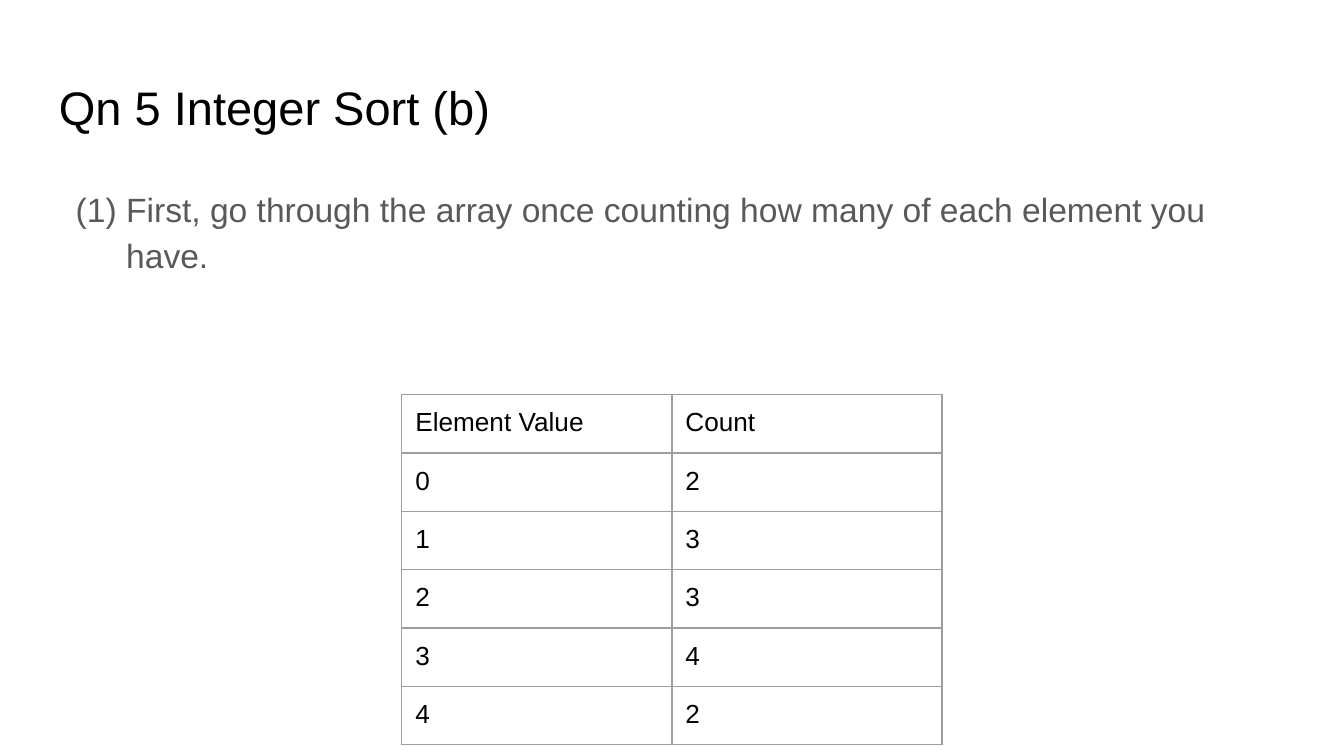
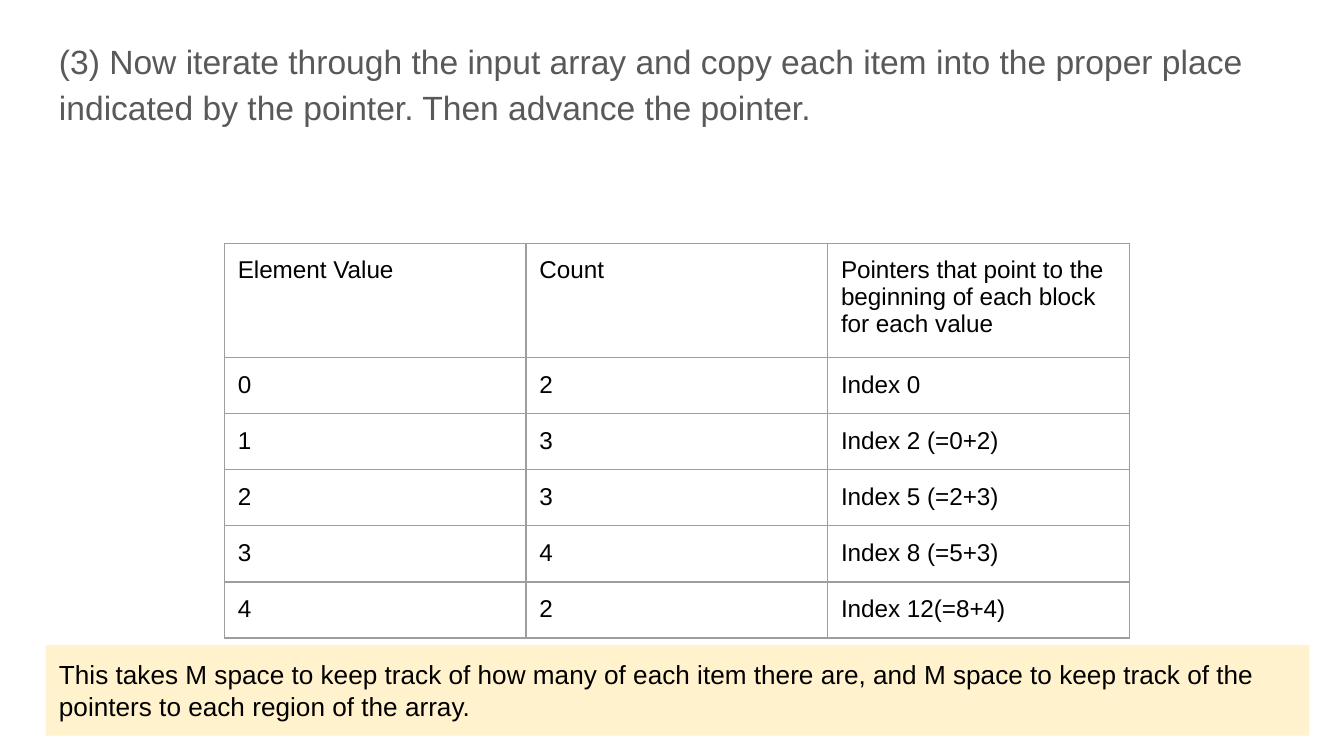
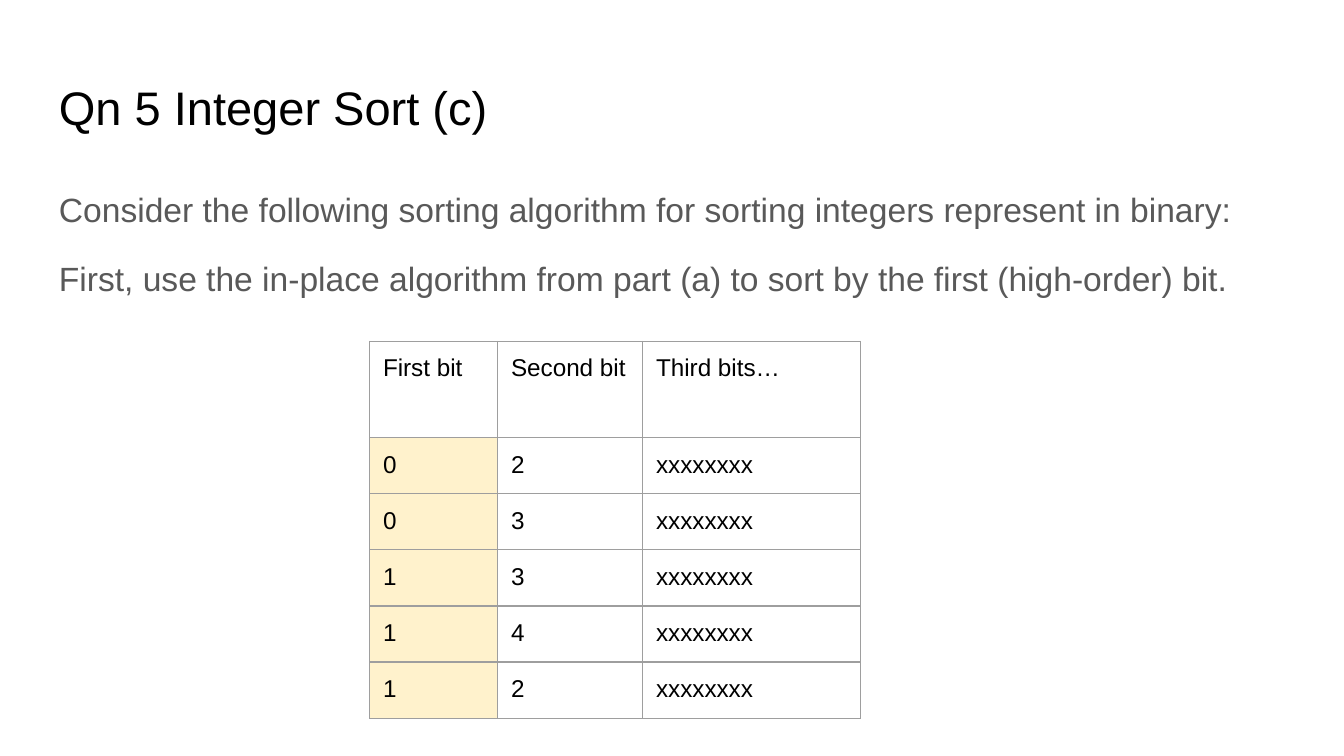
"""Builds three slides that explain integer sorting with counting tables."""
import pptx
import pptx.dml.color
import pptx.enum.shapes
import pptx.enum.text
import pptx.oxml
import pptx.oxml.ns
import pptx.util

Pt = pptx.util.Pt

FONT = "Arial"
BLACK, GREY, BORDER, CREAM = "000000", "595959", "9E9E9E", "FFF2CC"
PAGE_WIDTH, PAGE_HEIGHT = 720, 405
LEFT, TEXT_WIDTH, INSET = 24.5, 671, 7.2
TITLE_FRAME = (LEFT, 35, TEXT_WIDTH, 45)
BODY_FRAME = (LEFT, 90.75, TEXT_WIDTH, 307.5)
NOTE_FRAME = (LEFT, 345.6, 677, 48.5)
TITLE_SIZE, BODY_SIZE, NOTE_SIZE = 25.2, 18, 14

COUNTS = [("0", "2"), ("1", "3"), ("2", "3"), ("3", "4"), ("4", "2")]
POINTERS = ["Index 0", "Index 2 (=0+2)", "Index 5 (=2+3)", "Index 8 (=5+3)", "Index 12(=8+4)"]
FIRST_BITS = ["0", "0", "1", "1", "1"]

SLIDES = [
    {
        "title": "Qn 5 Integer Sort (b)",
        "body": ["First, go through the array once counting how many of each element you have."],
        "numbered": True,
        "table": {
            "at": (215.3, 211.5),
            "columns": [144.7, 144.7],
            "heights": (21.6, 31.2),
            "size": 14,
            "rows": [("Element Value", "Count"), *COUNTS],
        },
    },
    {
        "body": ["(3) Now iterate through the input array and copy each item into the proper "
                 "place indicated by the pointer. Then advance the pointer."],
        "body_frame": (LEFT, 11.5, TEXT_WIDTH, 83),
        "table": {
            "at": (120.2, 130.3),
            "columns": [161.6] * 3,
            "heights": (51.8, 26.6),
            "size": 13,
            "rows": [
                ("Element Value", "Count",
                 "Pointers that point to the beginning of each block for each value"),
                *[(*pair, pointer) for pair, pointer in zip(COUNTS, POINTERS)],
            ],
        },
        "note": "This takes M space to keep track of how many of each item there are, and M space "
                "to keep track of the pointers to each region of the array.",
    },
    {
        "title": "Qn 5 Integer Sort (c)",
        "body": [
            "Consider the following sorting algorithm for sorting integers represent in binary:",
            "First, use the in-place algorithm from part (a) to sort by the ﬁrst (high-order) bit.",
        ],
        "table": {
            "at": (198, 182.9),
            "columns": [68.6, 77.7, 116.9],
            "heights": (51.6, 30),
            "size": 13,
            "rows": [
                ("First bit", "Second bit", "Third bits…"),
                *[(bit, count, "xxxxxxxx") for bit, (_, count) in zip(FIRST_BITS, COUNTS)],
            ],
            "highlight_column": 0,
        },
    },
]


def color(value):
    return pptx.dml.color.RGBColor.from_string(value)


def points(values):
    return [Pt(value) for value in values]


def paint(fill, value):
    fill.solid()
    fill.fore_color.rgb = color(value)


def add_xml(parent, markup):
    namespace = pptx.oxml.ns.nsdecls("a")
    parent.append(pptx.oxml.parse_xml(markup.replace(" ", f" {namespace} ", 1)))


def style_paragraph(para, size, value):
    para.alignment = pptx.enum.text.PP_ALIGN.LEFT
    for span in para.runs:
        span.font.name = FONT
        span.font.size = Pt(size)
        span.font.color.rgb = color(value)


def fill_text(box, lines, size, value):
    frame = box.text_frame
    frame.word_wrap = True
    frame.vertical_anchor = pptx.enum.text.MSO_ANCHOR.TOP
    frame.margin_left = frame.margin_right = Pt(INSET)
    frame.margin_top = frame.margin_bottom = Pt(INSET)
    frame.text = "\n".join(lines)
    for para in frame.paragraphs:
        style_paragraph(para, size, value)
    return frame.paragraphs


def number_paragraph(para):
    properties = para._p.get_or_add_pPr()
    properties.set("marL", str(Pt(36)))
    properties.set("indent", str(Pt(-27)))
    add_xml(properties, f'<a:buClr ><a:srgbClr val="{GREY}"/></a:buClr>')
    add_xml(properties, f'<a:buFont typeface="{FONT}"/>')
    add_xml(properties, '<a:buAutoNum type="arabicParenBoth"/>')


def add_title(page, text):
    box = page.shapes.add_textbox(*points(TITLE_FRAME))
    fill_text(box, [text], TITLE_SIZE, BLACK)


def add_body(page, lines, frame, numbered):
    box = page.shapes.add_textbox(*points(frame))
    for index, para in enumerate(fill_text(box, lines, BODY_SIZE, GREY)):
        para.line_spacing = 1.15
        para.space_before = Pt(12 if index else 0)
        if numbered:
            number_paragraph(para)


def add_note(page, text):
    box = page.shapes.add_shape(pptx.enum.shapes.MSO_SHAPE.RECTANGLE, *points(NOTE_FRAME))
    box.shadow.inherit = False
    box.line.fill.background()
    paint(box.fill, CREAM)
    fill_text(box, [text], NOTE_SIZE, BLACK)


def style_cell(cell, text, size, highlighted):
    cell.text = text
    cell.margin_left = cell.margin_right = Pt(INSET)
    cell.margin_top = cell.margin_bottom = Pt(INSET)
    style_paragraph(cell.text_frame.paragraphs[0], size, BLACK)
    for side in "LRTB":
        add_xml(
            cell._tc.get_or_add_tcPr(),
            f'<a:ln{side} w="{Pt(0.75)}"><a:solidFill><a:srgbClr val="{BORDER}"/>'
            f"</a:solidFill></a:ln{side}>",
        )
    if highlighted:
        paint(cell.fill, CREAM)
    else:
        cell.fill.background()


def add_grid(page, content):
    rows, columns = content["rows"], content["columns"]
    header_height, row_height = content["heights"]
    heights = [header_height] + [row_height] * (len(rows) - 1)
    extent = (*content["at"], sum(columns), sum(heights))
    grid = page.shapes.add_table(len(rows), len(columns), *points(extent)).table
    grid.first_row = grid.horz_banding = False
    for column, width in zip(grid.columns, columns):
        column.width = Pt(width)
    for row_index, (row, height) in enumerate(zip(rows, heights)):
        grid.rows[row_index].height = Pt(height)
        for column_index, text in enumerate(row):
            highlighted = row_index > 0 and column_index == content.get("highlight_column")
            style_cell(grid.cell(row_index, column_index), text, content["size"], highlighted)


def main():
    deck = pptx.Presentation()
    deck.slide_width, deck.slide_height = points((PAGE_WIDTH, PAGE_HEIGHT))
    for content in SLIDES:
        page = deck.slides.add_slide(deck.slide_layouts[6])
        if "title" in content:
            add_title(page, content["title"])
        frame = content.get("body_frame", BODY_FRAME)
        add_body(page, content["body"], frame, content.get("numbered", False))
        add_grid(page, content["table"])
        if "note" in content:
            add_note(page, content["note"])
    deck.save("out.pptx")


if __name__ == "__main__":
    main()
